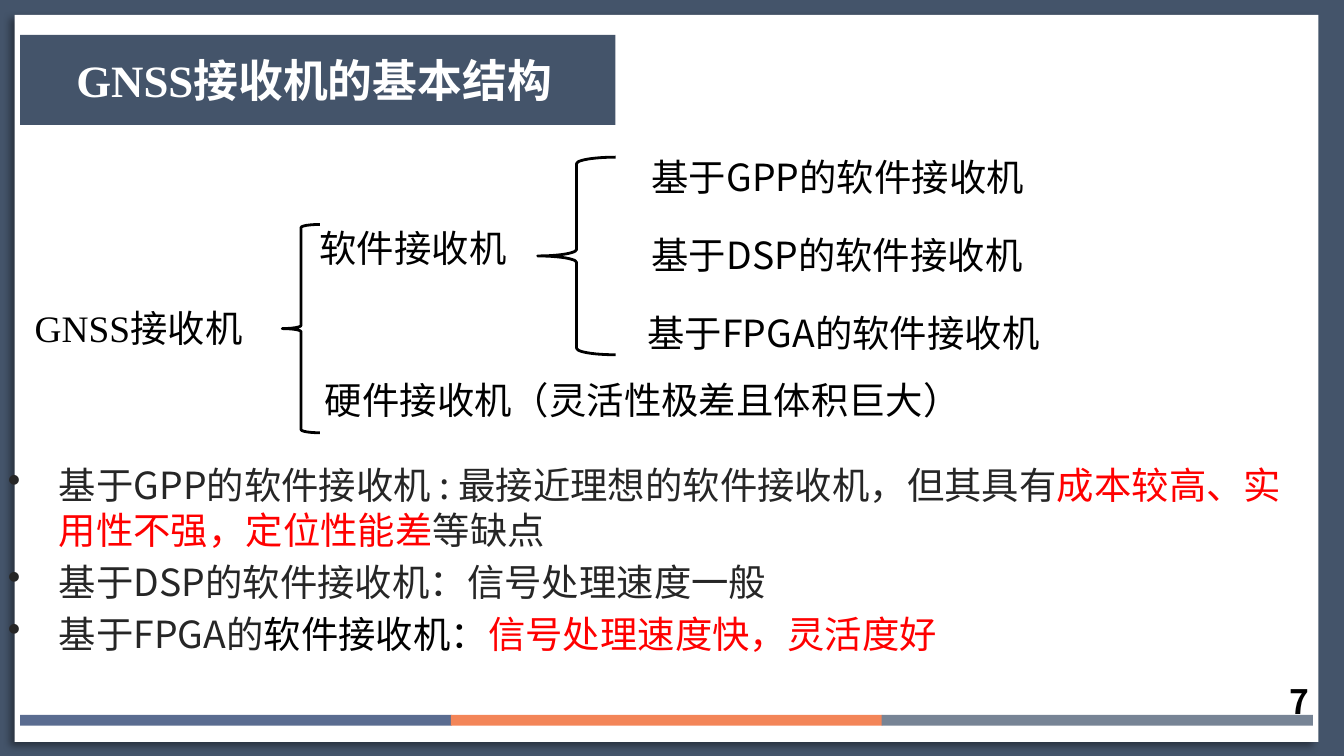
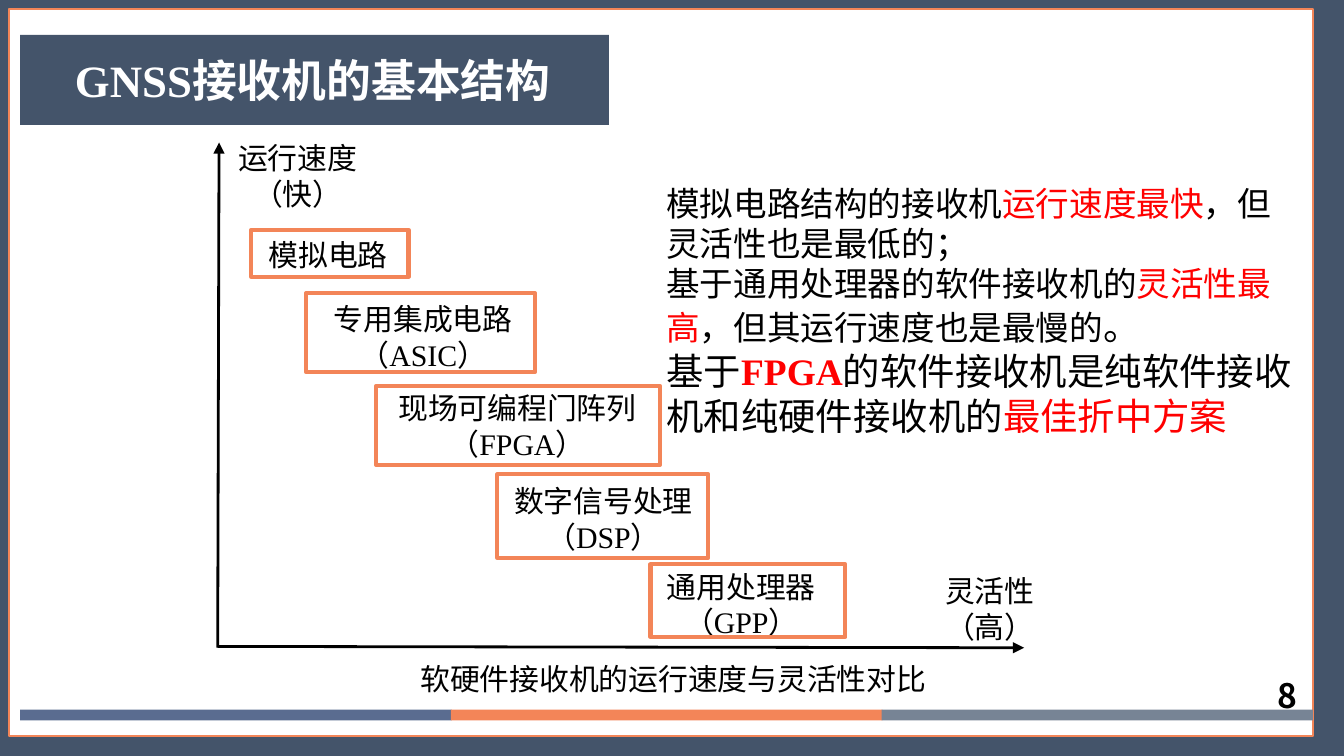
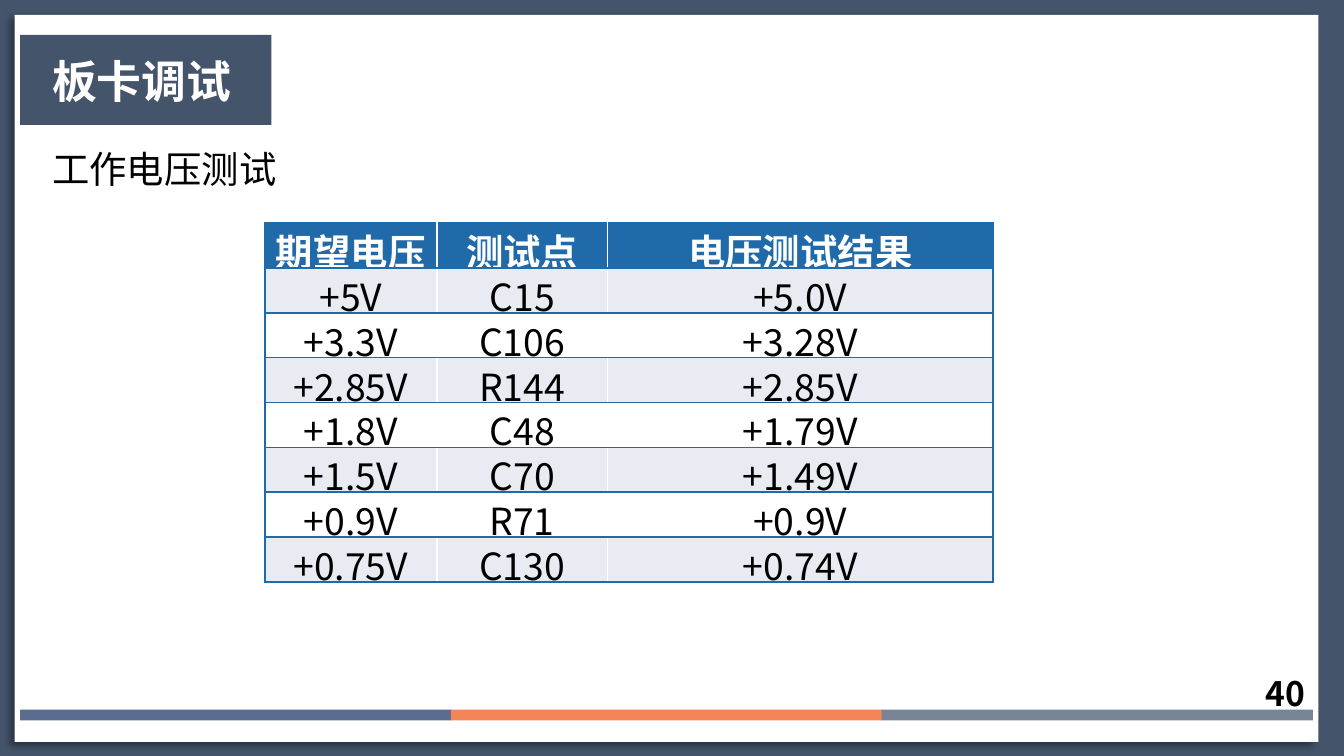
import dataclasses

import lxml.etree
import pptx
import pptx.dml.color
import pptx.enum.shapes
import pptx.enum.text
import pptx.oxml.ns
import pptx.util

SHAPE = pptx.enum.shapes.MSO_SHAPE
ALIGN = pptx.enum.text.PP_ALIGN
COLUMNS, ROWS = 100, 56.25


@dataclasses.dataclass(frozen=True)
class Theme:
    sans: str = "Noto Sans CJK SC"
    serif: str = "Times New Roman"
    ink: str = "000000"
    body: str = "262626"
    white: str = "FFFFFF"
    red: str = "FF0000"
    navy: str = "44546A"
    orange: str = "F38558"
    bars: tuple = ("5A6C90", "F38558", "778495")
    table: str = "216AA9"
    stripe: str = "E8EBF1"
    title: int = 24
    text: int = 20
    small: int = 18
    label: int = 16


THEME = Theme()
RED = {"color": THEME.red}
SERIF = {"font": THEME.serif}


def rgb(color):
    return pptx.dml.color.RGBColor.from_string(color)


def add_xml(parent, tag, **attributes):
    return lxml.etree.SubElement(parent, pptx.oxml.ns.qn(tag), attributes)


def write(tf, paragraphs, size=THEME.text, color=THEME.ink, font=THEME.sans,
          bold=False, align=None, bullet=None):
    """Fill a text frame; a paragraph is a string or a list of strings and (string, format)."""
    for i, runs in enumerate(paragraphs):
        p = tf.add_paragraph() if i else tf.paragraphs[0]
        p.alignment = align
        if bullet:
            if i:
                p.space_before = pptx.util.Pt(4)
            pPr = p._p.get_or_add_pPr()
            indent = pptx.util.Inches(0.38)
            pPr.set("marL", str(indent))
            pPr.set("indent", str(-indent))
            add_xml(pPr, "a:buChar", char=bullet)
        for run in [runs] if isinstance(runs, str) else runs:
            text, own = (run, {}) if isinstance(run, str) else run
            r = p.add_run()
            r.text = text
            r.font.size = pptx.util.Pt(own.get("size", size))
            r.font.bold = own.get("bold", bold)
            r.font.color.rgb = rgb(own.get("color", color))
            r.font.name = own.get("font", font)
            add_xml(r._r.get_or_add_rPr(), "a:ea", typeface=THEME.sans)


class Deck:
    """Holds the presentation, its theme and the current slide; lengths are grid cells."""

    def __init__(self, theme):
        self.theme = theme
        self.prs = pptx.Presentation()
        self.prs.slide_width = pptx.util.Inches(10)
        self.prs.slide_height = pptx.util.Inches(5.625)
        self.s = None

    def x(self, columns):
        return round(self.prs.slide_width * columns / COLUMNS)

    def y(self, rows):
        return round(self.prs.slide_height * rows / ROWS)

    def box(self, at):
        left, top, width, height = at
        return self.x(left), self.y(top), self.x(width), self.y(height)

    def shape(self, at, fill=None, line=None, width=1.0, kind=SHAPE.RECTANGLE):
        sp = self.s.shapes.add_shape(kind, *self.box(at))
        sp.shadow.inherit = False
        if fill:
            sp.fill.solid()
            sp.fill.fore_color.rgb = rgb(fill)
        else:
            sp.fill.background()
        if line:
            sp.line.color.rgb = rgb(line)
            sp.line.width = pptx.util.Pt(width)
        else:
            sp.line.fill.background()
        return sp

    def brace(self, at):
        self.shape(at, line=self.theme.ink, width=1.5, kind=SHAPE.LEFT_BRACE)

    def text(self, at, *paragraphs, grow=True, **style):
        tf = self.s.shapes.add_textbox(*self.box(at)).text_frame
        tf.word_wrap = True
        if grow:
            tf.auto_size = pptx.enum.text.MSO_AUTO_SIZE.SHAPE_TO_FIT_TEXT
        write(tf, paragraphs, **style)

    def arrow(self, start, end):
        line = self.s.shapes.add_connector(
            pptx.enum.shapes.MSO_CONNECTOR.STRAIGHT,
            self.x(start[0]), self.y(start[1]), self.x(end[0]), self.y(end[1]))
        line.line.color.rgb = rgb(self.theme.ink)
        line.line.width = pptx.util.Pt(1.5)
        add_xml(line.line._get_or_add_ln(), "a:tailEnd", type="triangle")
        add_xml(line._element.spPr, "a:effectLst")

    def border(self, cell, sides):
        for side in sides:
            ln = add_xml(cell._tc.get_or_add_tcPr(), f"a:ln{side}", w=str(pptx.util.Pt(1)))
            if side in "LR" and side not in self.outer(cell):
                add_xml(ln, "a:noFill")
            else:
                add_xml(add_xml(ln, "a:solidFill"), "a:srgbClr", val=self.theme.table)

    @staticmethod
    def outer(cell):
        tc = cell._tc
        return ("L" if tc.getprevious().tag != tc.tag else "") if tc.getnext() is not None else "R"

    def table(self, at, widths, rows):
        t = self.theme
        table = self.s.shapes.add_table(len(rows), len(widths), *self.box(at)).table
        for column, width in zip(table.columns, widths):
            column.width = self.x(width)
        for i, row in enumerate(rows):
            table.rows[i].height = self.y(at[3] / len(rows))
            for j, value in enumerate(row):
                cell = table.cell(i, j)
                cell.margin_left = cell.margin_right = pptx.util.Inches(0.07)
                cell.margin_top = cell.margin_bottom = 0
                cell.vertical_anchor = pptx.enum.text.MSO_ANCHOR.MIDDLE
                # Rules run across; only the outer edges have uprights
                edges = "L" * (j == 0) + "R" * (j == len(row) - 1) + "TB"
                for side in edges:
                    ln = add_xml(cell._tc.get_or_add_tcPr(), f"a:ln{side}",
                                 w=str(pptx.util.Pt(1)))
                    add_xml(add_xml(ln, "a:solidFill"), "a:srgbClr", val=t.table)
                cell.fill.solid()
                fill = t.table if i == 0 else t.stripe if i % 2 else t.white
                cell.fill.fore_color.rgb = rgb(fill)
                write(cell.text_frame, [value], align=ALIGN.CENTER, bold=i == 0,
                      color=t.ink if i else t.white)

    def shadow(self, sp):
        effects = sp._element.spPr.find(pptx.oxml.ns.qn("a:effectLst"))
        outer = add_xml(effects, "a:outerShdw", blurRad=str(pptx.util.Pt(4)),
                        dist=str(pptx.util.Pt(3)), dir=str(135 * 60000),
                        algn="tr", rotWithShape="0")
        add_xml(add_xml(outer, "a:srgbClr", val=self.theme.ink), "a:alpha", val="40000")

    def slide(self, title, title_at, band, number, number_at, bar_top=52.8, outlined=False):
        t = self.theme
        self.s = self.prs.slides.add_slide(self.prs.slide_layouts[6])
        # Frame and panel
        self.shape((0, 0, COLUMNS, ROWS), t.navy)
        if outlined:
            self.shape((0.7, 0.7, 97, 54.1), t.white, t.orange)
        else:
            self.shadow(self.shape((1.1, 1.1, 97, 54.1), t.white))
        # Title band
        self.shape((1.5, 2.6, band, 6.7), t.navy)
        self.text(title_at, title, size=t.title, color=t.white, bold=True)
        # Footer bars and page number
        for i, color in enumerate(t.bars):
            self.shape((1.5 + 32.05 * i, bar_top, 32.1, 0.8), color)
        self.text((*number_at, 5.4 if number > 9 else 5, 4), str(number),
                  size=t.small, bold=True)


GNSS_TITLE = [("GNSS", SERIF), "接收机的基本结构"]


def receiver_tree(deck):
    deck.slide(GNSS_TITLE, (4.7, 3.4, 39.8, 5), 44.3, 7, (95, 50.2), bar_top=53.2)
    # Classification tree
    deck.text((1.6, 22.2, 19.4, 4.4), [("GNSS", SERIF), "接收机"])
    deck.brace((21, 16.7, 2.8, 15.5))
    deck.text((23.2, 27.6, 68, 4.4), "硬件接收机（灵活性极差且体积巨大）")
    deck.text((22.8, 16.3, 25.3, 4.4), "软件接收机")
    deck.brace((40, 11.7, 5.8, 14.7))
    for i, (chip, left) in enumerate((("GPP", 47.5), ("DSP", 47.5), ("FPGA", 47.2))):
        deck.text((left, 11 + 5.8 * i, 51, 4.4), f"基于{chip}的软件接收机")
    # Remarks
    deck.text((-0.4, 33.9, 97, 19.2),
              ["基于GPP的软件接收机 : 最接近理想的软件接收机，但其具有",
               ("成本较高、实用性不强，定位性能差", RED), "等缺点"],
              "基于DSP的软件接收机：信号处理速度一般",
              ["基于FPGA的", ("软件接收机：", {"color": THEME.ink}),
               ("信号处理速度快，灵活度好", RED)],
              grow=False, color=THEME.body, bullet="•")


def speed_flexibility(deck):
    deck.slide(GNSS_TITLE, (4.6, 3.4, 39.3, 5), 43.8, 8, (94.1, 49.7), outlined=True)
    label = {"size": THEME.label, "align": ALIGN.CENTER}
    # Axes
    deck.arrow((16.2, 48.2), (16.3, 10.6))
    deck.arrow((16.2, 48.1), (76.2, 48.2))
    deck.text((15.4, 9.9, 13.5, 6.4), "运行速度", "（快）", **label)
    deck.text((68.4, 42.1, 10.5, 6.4), "灵活性", "（高）", **label)
    # Receiver types: name, short name, text area, frame
    steps = (
        ("模拟电路", None, (19, 17.1, 12.6, 3.7), (18.7, 17.1, 11.7, 3.5)),
        ("专用集成电路", "ASIC", (22.8, 21.9, 17.4, 6.4), (22.8, 21.8, 17, 5.9)),
        ("现场可编程门阵列", "FPGA", (26.9, 28.5, 23.2, 6.4), (28, 28.7, 21.1, 5.9)),
        ("数字信号处理", "DSP", (35.8, 35.4, 18.2, 6.4), (37, 35.3, 15.7, 6.2)),
        ("通用处理器", "GPP", (47.4, 41.8, 15.5, 6.4), (48.4, 42, 14.5, 5.4)),
    )
    for name, short, area, frame in steps:
        if short:
            deck.text(area, name, [(f"（{short}）", SERIF)], **label)
        else:
            deck.text(area, name, size=THEME.label)
        deck.shape(frame, line=THEME.orange, width=2.25)
    deck.text((30.3, 48.7, 44.3, 3.7), "软硬件接收机的运行速度与灵活性对比", size=THEME.label)
    # Conclusions
    large = {"size": THEME.text}
    deck.text((48.6, 13.1, 49, 20.2),
              ["模拟电路结构的接收机", ("运行速度最快", RED), "，但灵活性也是最低的；"],
              ["基于通用处理器的软件接收机的", ("灵活性最高", RED),
               "，但其运行速度也是最慢的", ("。", large)],
              [("基于", large), ("FPGA", {**large, **RED, **SERIF, "bold": True}),
               ("的软件接收机是纯软件接收机和纯硬件接收机的", large),
               ("最佳折中方案", {**large, **RED})],
              size=THEME.small)


def voltage_test(deck):
    deck.slide("板卡调试", (2.9, 3.5, 32.8, 5), 18.7, 40, (93.2, 49.6))
    deck.text((2.9, 10.4, 23.5, 4.4), "工作电压测试")
    deck.table((19.7, 16.6, 54.2, 26.7), (12.8, 12.7, 28.7), (
        ("期望电压", "测试点", "电压测试结果"),
        ("+5V", "C15", "+5.0V"),
        ("+3.3V", "C106", "+3.28V"),
        ("+2.85V", "R144", "+2.85V"),
        ("+1.8V", "C48", "+1.79V"),
        ("+1.5V", "C70", "+1.49V"),
        ("+0.9V", "R71", "+0.9V"),
        ("+0.75V", "C130", "+0.74V"),
    ))


def main():
    deck = Deck(THEME)
    for build in (receiver_tree, speed_flexibility, voltage_test):
        build(deck)
    deck.prs.save("out.pptx")


if __name__ == "__main__":
    main()
